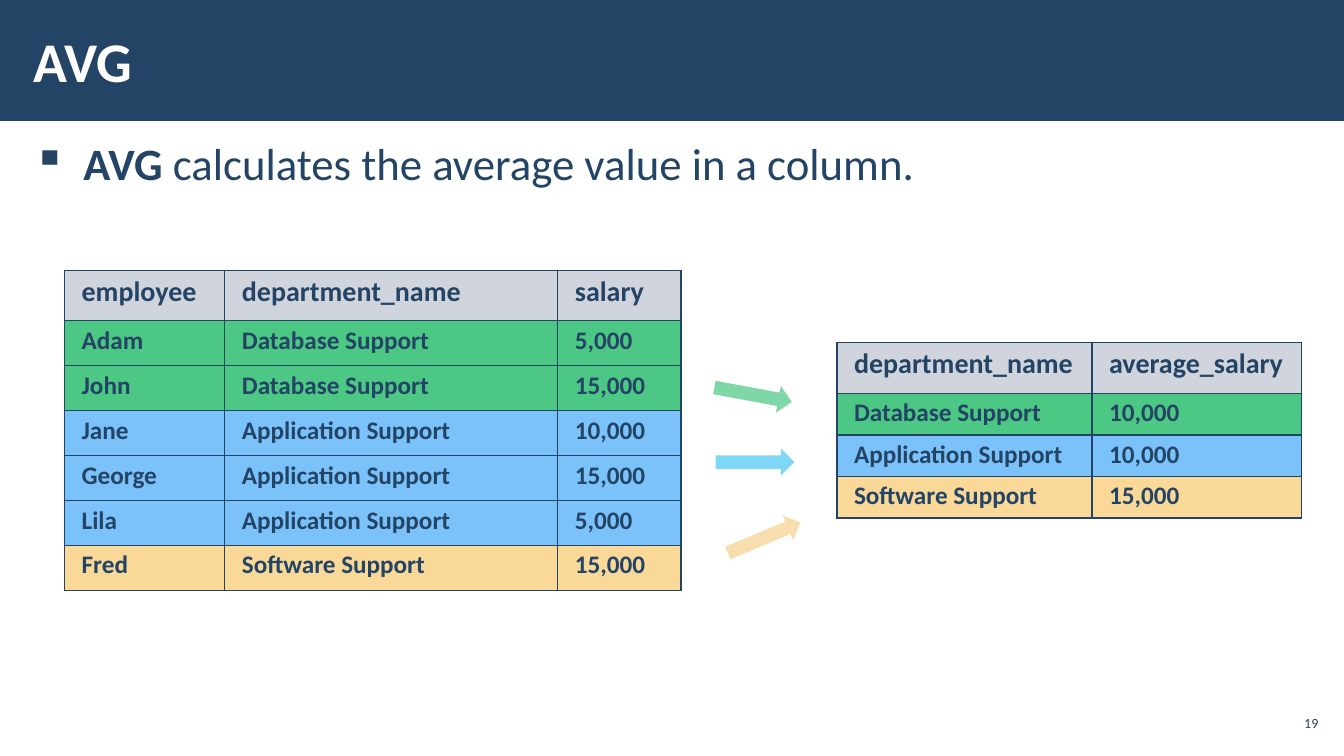
from itertools import groupby

from lxml import etree
from pptx import Presentation
from pptx.dml.color import RGBColor
from pptx.enum.shapes import MSO_SHAPE
from pptx.enum.text import MSO_ANCHOR, PP_ALIGN
from pptx.oxml.ns import qn
from pptx.util import Pt

RECT = MSO_SHAPE.RECTANGLE
ARROW = MSO_SHAPE.RIGHT_ARROW
MIDDLE = MSO_ANCHOR.MIDDLE
TOP = MSO_ANCHOR.TOP
LEFT = PP_ALIGN.LEFT
RIGHT = PP_ALIGN.RIGHT

NAVY = RGBColor(0x23, 0x44, 0x65)
WHITE = RGBColor(0xFF, 0xFF, 0xFF)
GRAY = RGBColor(0xA3, 0xAB, 0xBC)
GREEN = RGBColor(0x00, 0xB0, 0x50)
BLUE = RGBColor(0x44, 0xA9, 0xF8)
SAND = RGBColor(0xF7, 0xC8, 0x6D)
SKY = RGBColor(0x00, 0xB0, 0xF0)
AMBER = RGBColor(0xF3, 0xBE, 0x60)

FONT = "Calibri"
WIDTH, HEIGHT = 960, 540
HEAD = 36.2

DATA = "Database Support"
APP = "Application Support"
SOFT = "Software Support"
TINTS = {DATA: GREEN, APP: BLUE, SOFT: SAND}

STAFF = [
    ("employee", "department_name", "salary"),
    ("Adam", DATA, "5,000"),
    ("John", DATA, "15,000"),
    ("Jane", APP, "10,000"),
    ("George", APP, "15,000"),
    ("Lila", APP, "5,000"),
    ("Fred", SOFT, "15,000"),
]
MEANS = [
    ("department_name", "average_salary"),
    (DATA, "10,000"),
    (APP, "10,000"),
    (SOFT, "15,000"),
]
ARROWS = [
    (509.8, 272.2, 10.5, GREEN),
    (511.2, 320.4, 0, SKY),
    (517.7, 374.4, 337.2, AMBER),
]


def paint(fill, props, color, alpha=100):
    fill.solid()
    fill.fore_color.rgb = color
    if alpha < 100:
        tone = props.find(qn("a:solidFill")).find(qn("a:srgbClr"))
        etree.SubElement(tone, qn("a:alpha"), val=str(alpha * 1000))


def add_run(para, text, size, color=NAVY, bold=False):
    run = para.add_run()
    run.text = text
    run.font.name = FONT
    run.font.size = Pt(size)
    run.font.bold = bold
    run.font.color.rgb = color


def add_block(slide, kind, box, color, alpha=100):
    shape = slide.shapes.add_shape(kind, *map(Pt, box))
    shape.shadow.inherit = False
    paint(shape.fill, shape.element.spPr, color, alpha)
    shape.line.fill.background()
    return shape


def add_text(slide, box, anchor, side=8.64, align=LEFT):
    frame = slide.shapes.add_textbox(*map(Pt, box)).text_frame
    frame.word_wrap = True
    frame.vertical_anchor = anchor
    frame.margin_left = frame.margin_right = Pt(side)
    frame.margin_top = frame.margin_bottom = Pt(2.88)
    para = frame.paragraphs[0]
    para.alignment = align
    return para


def add_title(slide, box):
    left, top, width, height = box
    add_block(slide, RECT, box, NAVY)
    para = add_text(slide, (left + 15, top + 8, 748, height - 16), MIDDLE)
    add_run(para, "AVG", 40, WHITE, True)


def add_body(slide, box):
    para = add_text(slide, box, TOP)
    para.space_before = para.space_after = Pt(6)
    props = para._p.get_or_add_pPr()
    props.set("marL", str(Pt(36)))
    props.set("indent", str(-Pt(36)))
    etree.SubElement(props, qn("a:buChar"), char="▪")
    add_run(para, "AVG", 32, bold=True)
    add_run(para, " calculates the average value in a column.", 32)


def add_number(slide, box):
    add_run(add_text(slide, box, MIDDLE, 2.88, RIGHT), "19", 10)


def add_bands(slide, left, top, width, step, depts):
    for dept, group in groupby(depts):
        height = step * len(list(group))
        add_block(slide, RECT, (left, top, width, height), TINTS[dept], 70)
        top += height


def add_edges(props):
    for side in ("lnL", "lnR", "lnT", "lnB"):
        line = etree.SubElement(props, qn("a:" + side), w=str(Pt(1)))
        fill = etree.SubElement(line, qn("a:solidFill"))
        etree.SubElement(fill, qn("a:srgbClr"), val=str(NAVY))


def fill_cell(cell, text, header):
    cell.margin_left = cell.margin_right = Pt(12.24)
    cell.margin_top = cell.margin_bottom = Pt(3.6)
    props = cell._tc.get_or_add_tcPr()
    add_edges(props)
    if header:
        paint(cell.fill, props, GRAY, 50)
    else:
        cell.fill.background()
    para = cell.text_frame.paragraphs[0]
    para.line_spacing = 0.95
    add_run(para, text, 20 if header else 18, bold=True)


def add_grid(slide, left, top, cols, step, rows, key):
    width = sum(cols)
    depts = [row[key] for row in rows[1:]]
    add_bands(slide, left, top + HEAD, width, step, depts)
    box = (left, top, width, HEAD + step * len(depts))
    table = slide.shapes.add_table(len(rows), len(cols), *map(Pt, box)).table
    table.first_row = table.horz_banding = False
    for col, size in zip(table.columns, cols):
        col.width = Pt(size)
    for i, row in enumerate(rows):
        table.rows[i].height = Pt(step if i else HEAD)
        for j, text in enumerate(row):
            fill_cell(table.cell(i, j), text, i == 0)


def add_arrows(slide):
    for left, top, turn, color in ARROWS:
        arrow = add_block(slide, ARROW, (left, top, 56.2, 19.4), color, 50)
        arrow.rotation = turn


def main():
    deck = Presentation()
    deck.slide_width, deck.slide_height = Pt(WIDTH), Pt(HEIGHT)
    slide = deck.slides.add_slide(deck.slide_layouts[6])
    add_title(slide, (0, 0, WIDTH, 86.4))
    add_body(slide, (15, 94.3, 930, 409.7))
    add_number(slide, (910.8, 504, 33.8, 24.5))
    add_grid(slide, 46.1, 193, (114.5, 237.8, 88.1), 32.1, STAFF, 1)
    add_grid(slide, 597.8, 244.8, (182.2, 149.8), 29.7, MEANS, 0)
    add_arrows(slide)
    deck.save("out.pptx")


if __name__ == "__main__":
    main()
